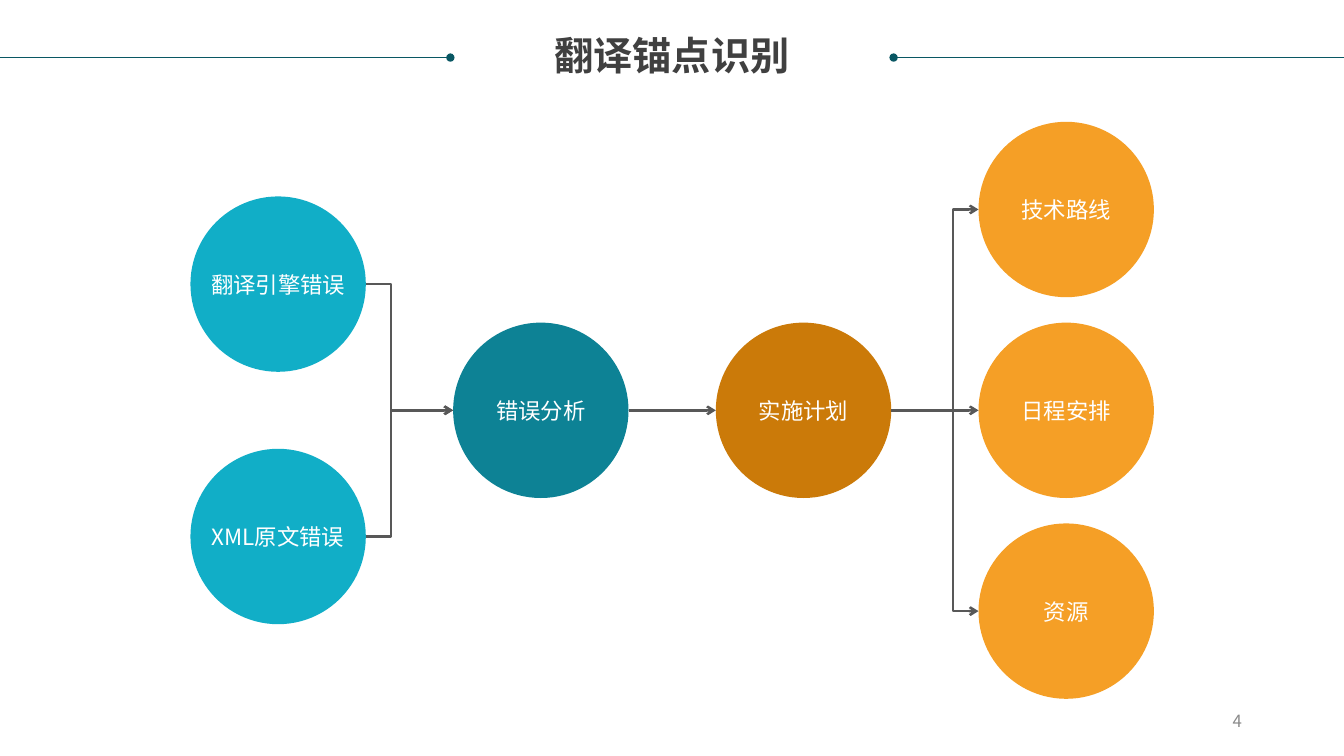
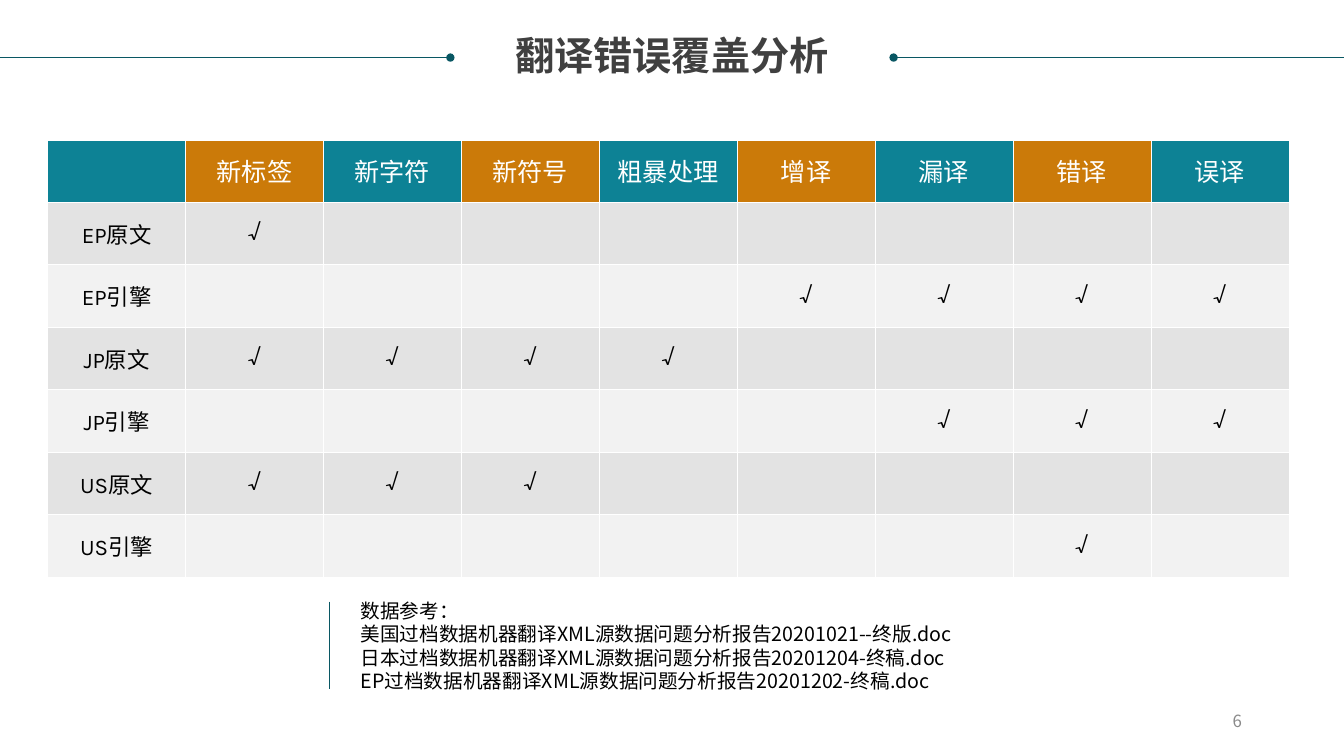
from dataclasses import dataclass

import lxml.etree
import pptx
import pptx.dml.color
import pptx.enum.shapes
import pptx.enum.text
import pptx.oxml.ns
import pptx.util

Cm, Pt = pptx.util.Cm, pptx.util.Pt
Align = pptx.enum.text.PP_ALIGN
Anchor = pptx.enum.text.MSO_ANCHOR
Connector = pptx.enum.shapes.MSO_CONNECTOR


@dataclass(frozen=True)
class Theme:
    sans: str = "Noto Sans CJK SC"
    table_face: str = "Karla"
    white: str = "FFFFFF"
    black: str = "000000"
    title: str = "404040"
    page_number: str = "898989"
    rule: str = "095763"
    link: str = "585858"
    cyan: str = "11AEC7"
    teal: str = "0D8295"
    brown: str = "CB7A09"
    orange: str = "F59F26"
    band_dark: str = "E3E3E3"
    band_light: str = "F2F2F2"
    title_size: int = 28
    header_size: int = 18
    body_size: int = 16
    note_size: int = 14
    number_size: int = 12
    rule_width: float = 0.5
    link_width: float = 1.75
    border_width: float = 0.25


THEME = Theme()

# Lengths in centimetres
SLIDE_WIDTH, SLIDE_HEIGHT = 33.87, 19.05
TITLE_BOX = (0.64, 0.91, 32.59, 1.07)
TITLE_RULE_Y, TITLE_RULE_LENGTH = 1.45, 11.35
NUMBER_BOX = (23.93, 17.65, 7.62, 1.02)

FLOW_TITLE, FLOW_NUMBER = "翻译锚点识别", "4"
# One entry per column: colour, vertical step between circles, labels
FLOW_COLUMNS = [
    (THEME.cyan, 6.36, ["翻译引擎错误", "XML原文错误"]),
    (THEME.teal, 0, ["错误分析"]),
    (THEME.brown, 0, ["实施计划"]),
    (THEME.orange, 5.06, ["技术路线", "日程安排", "资源"]),
]
FLOW_LEFT, FLOW_MIDDLE, FLOW_PITCH = 4.8, 10.34, 6.62
CIRCLE, STUB = 4.42, 0.64

COVERAGE_TITLE, COVERAGE_NUMBER = "翻译错误覆盖分析", "6"
ERROR_KINDS = ["新标签", "新字符", "新符号", "粗暴处理", "增译", "漏译", "错译", "误译"]
COVERAGE = {
    "EP原文": ["新标签"],
    "EP引擎": ["增译", "漏译", "错译", "误译"],
    "JP原文": ["新标签", "新字符", "新符号", "粗暴处理"],
    "JP引擎": ["漏译", "错译", "误译"],
    "US原文": ["新标签", "新字符", "新符号"],
    "US引擎": ["错译"],
}
TABLE_BOX = (1.2, 3.52, 31.28, 11.02)
REFERENCES = [
    "数据参考：",
    "美国过档数据机器翻译XML源数据问题分析报告20201021--终版.doc",
    "日本过档数据机器翻译XML源数据问题分析报告20201204-终稿.doc",
    "EP过档数据机器翻译XML源数据问题分析报告20201202-终稿.doc",
]
REFERENCE_BOX = (9.09, 15.09, 22.43, 2.36)
REFERENCE_RULE = (8.31, 15.16, 8.31, 17.37)


def rgb(color):
    return pptx.dml.color.RGBColor.from_string(color)


def lengths(values):
    return [Cm(value) for value in values]


def add_xml(parent, tag, **attributes):
    return lxml.etree.SubElement(parent, pptx.oxml.ns.qn(tag), attributes)


def apply(target, values):
    for name, value in values.items():
        setattr(target, name, value)


def write(frame, lines, size, color, face=THEME.sans, align=Align.CENTER,
          bold=False, spacing=None):
    for index, line in enumerate(lines):
        para = frame.paragraphs[0] if index == 0 else frame.add_paragraph()
        apply(para, {"alignment": align, "line_spacing": spacing})
        span = para.add_run()
        span.text = line
        apply(span.font, {"name": face, "size": Pt(size), "bold": bold})
        span.font.color.rgb = rgb(color)
        add_xml(span.font._element, "a:ea", typeface=THEME.sans)


def set_frame(frame, anchor, wrap=True, margins=(0, 0)):
    across, down = lengths(margins)
    apply(frame, {
        "word_wrap": wrap, "vertical_anchor": anchor,
        "margin_left": across, "margin_right": across,
        "margin_top": down, "margin_bottom": down,
    })


def add_text(page, place, lines, size, color, anchor=Anchor.MIDDLE,
             margins=(0, 0), **style):
    frame = page.shapes.add_textbox(*lengths(place)).text_frame
    set_frame(frame, anchor, margins=margins)
    write(frame, lines, size, color, **style)


def add_line(page, ends, color, width, kind=Connector.STRAIGHT, tail=None):
    line = page.shapes.add_connector(kind, *lengths(ends))
    line.line.color.rgb = rgb(color)
    line.line.width = Pt(width)
    if tail:
        add_xml(line.line._get_or_add_ln(), "a:tailEnd", type=tail)
    add_xml(line._element.spPr, "a:effectLst")
    return line


def add_page(deck, title, number):
    """Add a slide with the title, its two dotted rules and the page number."""
    page = deck.slides.add_slide(deck.slide_layouts[6])
    for edge, inner in ((0, TITLE_RULE_LENGTH),
                        (SLIDE_WIDTH, SLIDE_WIDTH - TITLE_RULE_LENGTH)):
        add_line(page, (edge, TITLE_RULE_Y, inner, TITLE_RULE_Y),
                 THEME.rule, THEME.rule_width, tail="oval")
    add_text(page, TITLE_BOX, [title], THEME.title_size, THEME.title,
             anchor=Anchor.TOP, bold=True, spacing=0.9)
    add_text(page, NUMBER_BOX, [number], THEME.number_size, THEME.page_number,
             margins=(0.25, 0.13), align=Align.RIGHT)
    return page


def add_circle(page, left, middle, color, label):
    circle = page.shapes.add_shape(
        pptx.enum.shapes.MSO_SHAPE.OVAL,
        *lengths((left, middle - CIRCLE / 2, CIRCLE, CIRCLE)))
    circle.shadow.inherit = False
    circle.fill.solid()
    circle.fill.fore_color.rgb = rgb(color)
    circle.line.fill.background()
    set_frame(circle.text_frame, Anchor.MIDDLE, wrap=False)
    write(circle.text_frame, [label], THEME.body_size, THEME.white)


def add_link(page, left, start, end, bend):
    """Join two neighbouring columns; bend is the share of the gap before the turn."""
    ends = (left, start, left + FLOW_PITCH - CIRCLE, end)
    kind = Connector.STRAIGHT if start == end else Connector.ELBOW
    link = add_line(page, ends, THEME.link, THEME.link_width, kind, "arrow")
    if kind == Connector.ELBOW:
        link.adjustments = None
        guides = link._element.spPr.prstGeom.get_or_add_avLst()
        add_xml(guides, "a:gd", name="adj1", fmla=f"val {round(bend * 100000)}")


def build_flow(deck):
    page = add_page(deck, FLOW_TITLE, FLOW_NUMBER)
    columns = []
    for index, (color, step, labels) in enumerate(FLOW_COLUMNS):
        left = FLOW_LEFT + index * FLOW_PITCH
        middles = [FLOW_MIDDLE + (row - (len(labels) - 1) / 2) * step
                   for row in range(len(labels))]
        columns.append((left, middles))
        for middle, label in zip(middles, labels):
            add_circle(page, left, middle, color, label)
    stub_share = STUB / (FLOW_PITCH - CIRCLE)
    for (left, starts), (_, ends) in zip(columns, columns[1:]):
        bend = stub_share if len(starts) > len(ends) else 1 - stub_share
        for start in starts:
            for end in ends:
                add_link(page, left + CIRCLE, start, end, bend)


def style_cell(cell, fill):
    cell.fill.solid()
    cell.fill.fore_color.rgb = rgb(fill)
    cell.vertical_anchor = Anchor.MIDDLE
    properties = cell._tc.get_or_add_tcPr()
    for index, side in enumerate(("a:lnL", "a:lnR", "a:lnT", "a:lnB")):
        border = add_xml(properties, side, w=str(Pt(THEME.border_width)))
        add_xml(add_xml(border, "a:solidFill"), "a:srgbClr", val=THEME.white)
        properties.insert(index, border)


def add_coverage_table(page):
    rows = [["", *ERROR_KINDS]]
    for source, found in COVERAGE.items():
        rows.append([source, *("√" if kind in found else "" for kind in ERROR_KINDS)])
    table = page.shapes.add_table(len(rows), len(rows[0]), *lengths(TABLE_BOX)).table
    apply(table, {"first_row": False, "horz_banding": False})
    for column in table.columns:
        column.width = Cm(TABLE_BOX[2] / len(rows[0]))
    for row in table.rows:
        row.height = Cm(TABLE_BOX[3] / len(rows))
    for row_index, row in enumerate(rows):
        header = row_index == 0
        size = THEME.header_size if header else THEME.body_size
        color = THEME.white if header else THEME.black
        for column_index, text in enumerate(row):
            if header:
                fill = (THEME.teal, THEME.brown)[column_index % 2]
            else:
                fill = (THEME.band_light, THEME.band_dark)[row_index % 2]
            cell = table.cell(row_index, column_index)
            style_cell(cell, fill)
            if text:
                write(cell.text_frame, [text], size, color, face=THEME.table_face)


def build_coverage(deck):
    page = add_page(deck, COVERAGE_TITLE, COVERAGE_NUMBER)
    add_coverage_table(page)
    add_text(page, REFERENCE_BOX, REFERENCES, THEME.note_size, THEME.black,
             align=Align.LEFT)
    add_line(page, REFERENCE_RULE, THEME.rule, THEME.rule_width)


def main():
    deck = pptx.Presentation()
    apply(deck, {"slide_width": Cm(SLIDE_WIDTH), "slide_height": Cm(SLIDE_HEIGHT)})
    build_flow(deck)
    build_coverage(deck)
    deck.save("out.pptx")


if __name__ == "__main__":
    main()
